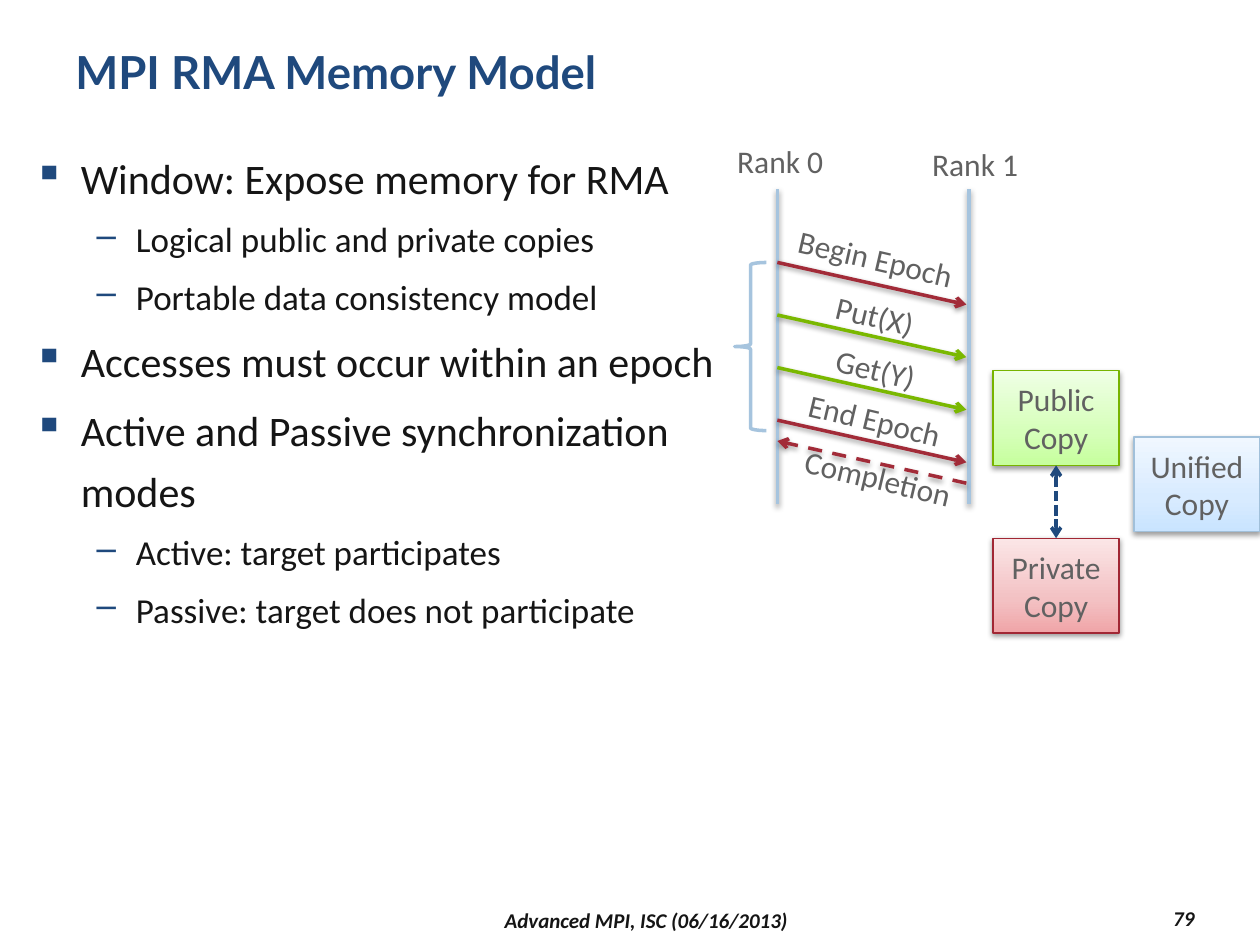
from lxml import etree
from pptx import Presentation
from pptx.dml.color import RGBColor
from pptx.enum.dml import MSO_LINE
from pptx.enum.shapes import MSO_CONNECTOR, MSO_SHAPE
from pptx.enum.text import MSO_ANCHOR, PP_ALIGN
from pptx.oxml.ns import qn
from pptx.util import Cm, Pt

STRAIGHT = MSO_CONNECTOR.STRAIGHT
RECT, BRACE = MSO_SHAPE.RECTANGLE, MSO_SHAPE.RIGHT_BRACE
DASH, SYS_DASH = MSO_LINE.DASH, MSO_LINE.SQUARE_DOT
LEFT, CENTER, RIGHT = PP_ALIGN.LEFT, PP_ALIGN.CENTER, PP_ALIGN.RIGHT
TOP, MIDDLE = MSO_ANCHOR.TOP, MSO_ANCHOR.MIDDLE

NAVY = RGBColor(0x1F, 0x49, 0x7D)
INK = RGBColor(0x15, 0x15, 0x15)
GREY = RGBColor(0x61, 0x61, 0x61)
WHITE = RGBColor(0xFF, 0xFF, 0xFF)
PALE_BLUE = RGBColor(0xA6, 0xC4, 0xDE)
RED = RGBColor(0xA2, 0x2B, 0x38)
GREEN = RGBColor(0x7A, 0xB8, 0x00)
GREEN_EDGE = RGBColor(0x77, 0xB4, 0x00)
RED_EDGE = RGBColor(0xA1, 0x27, 0x34)
BLUE_EDGE = RGBColor(0xA1, 0xC0, 0xDA)

TITLE = "MPI RMA Memory Model"
FOOTER = "Advanced MPI, ISC (06/16/2013)"
PAGE = "79"
BULLETS = [  # level, text
    (0, "Window: Expose memory for RMA"),
    (1, "Logical public and private copies"),
    (1, "Portable data consistency model"),
    (0, "Accesses must occur within an epoch"),
    (0, "Active and Passive synchronization modes"),
    (1, "Active: target participates"),
    (1, "Passive: target does not participate"),
]
LEVELS = [  # bullet, size in points, text indent and hanging in cm
    ("▪", 24, 0.95, 0.95),
    ("–", 20, 2.06, 0.79),
]
RANKS = [  # label, label left, label top, lifeline x
    ("Rank 0", 14.61, 2.74, 15.67),
    ("Rank 1", 18.54, 2.79, 19.53),
]
MESSAGES = [  # label, colour, label left, top, width, rotation
    ("Begin Epoch", RED, 15.82, 4.70, 3.71, 13.1),
    ("Put(X)", GREEN, 16.59, 5.89, 2.44, 13.4),
    ("Get(Y)", GREEN, 16.59, 6.96, 2.44, 13.4),
    ("End Epoch", RED, 16.03, 7.98, 3.48, 13.4),
]
COMPLETION = ("Completion", 15.95, 9.14, 3.68, 13.4)
COPIES = [  # text, left, top, edge, gradient from bottom to top
    ("Public\nCopy", 20.02, 7.47, GREEN_EDGE, ("C6FF9D", "D6FFBA", "EFFFE5")),
    ("Private\nCopy", 20.02, 10.85, RED_EDGE, ("F0A5A8", "F3C1C3", "FBE6E7")),
    ("Unified\nCopy", 22.86, 8.81, BLUE_EDGE, ("C9E4FF", "D8EBFF", "F0F7FF")),
]
STOPS = (0, 35, 100)
LIFE_TOP, LIFE_BOTTOM = 3.81, 10.16
SEND_X, RECEIVE_X = 15.67, 19.48
FIRST_Y, STEP, DROP = 5.29, 1.06, 0.85
COMPLETION_Y = 8.89
COPY_W, COPY_H, LABEL_H = 2.54, 1.91, 1.02


def sub(parent, tag, **attrs):
    return etree.SubElement(parent, qn(tag), attrs)


def fill_shadow(effects):
    shadow = sub(effects, "a:outerShdw", blurRad="40000", dist="20000",
                 dir="5400000", rotWithShape="0")
    sub(sub(shadow, "a:srgbClr", val="000000"), "a:alpha", val="38000")


def style(p, size, color, font="Calibri", bold=False, italic=False):
    for r in p.runs:
        f = r.font
        f.name, f.size, f.bold, f.italic = font, Pt(size), bold, italic
        f.color.rgb = color


def add_text(s, text, box, size=18, color=GREY, align=LEFT, anchor=TOP,
             wrap=True, rotation=0, **font):
    sp = s.shapes.add_textbox(*map(Cm, box))
    sp.rotation = rotation
    tf = sp.text_frame
    tf.text, tf.word_wrap, tf.vertical_anchor = text, wrap, anchor
    for p in tf.paragraphs:
        p.alignment = align
        style(p, size, color, **font)


def add_bullets(s):
    tf = s.shapes.add_textbox(Cm(0.43), Cm(2.74), Cm(15.24), Cm(14.27)).text_frame
    tf.word_wrap = True
    tf.text = "\n".join(text for _, text in BULLETS)
    for i, (p, (level, _)) in enumerate(zip(tf.paragraphs, BULLETS)):
        char, size, indent, hanging = LEVELS[level]
        p.level = level
        pPr = p._p.get_or_add_pPr()
        pPr.set("marL", str(Cm(indent)))
        pPr.set("indent", str(-Cm(hanging)))
        sub(sub(pPr, "a:buClr"), "a:srgbClr", val=str(NAVY))
        sub(pPr, "a:buChar", char=char)
        p.line_spacing = 1.2
        p.space_before = Pt(0.2 * size if i else 0)
        style(p, size, INK)


def add_line(s, start, end, color, dash=None, ends=(), shadow=True):
    line = s.shapes.add_connector(STRAIGHT, *map(Cm, start + end))
    line.line.color.rgb, line.line.width = color, Pt(2)
    if dash:
        line.line.dash_style = dash
    for tag in ends:
        sub(line.line._get_or_add_ln(), tag, type="arrow")
    effects = sub(line._element.spPr, "a:effectLst")
    if shadow:
        fill_shadow(effects)
    return line


def add_copy(s, text, left, top, edge, colors):
    sp = s.shapes.add_shape(RECT, Cm(left), Cm(top), Cm(COPY_W), Cm(COPY_H))
    sp.fill.gradient()
    sp.fill.gradient_angle = 90
    spPr = sp._element.spPr
    stops = spPr.find(qn("a:gradFill")).find(qn("a:gsLst"))
    stops.clear()
    for pos, color in zip(STOPS, colors):
        sub(sub(stops, "a:gs", pos=str(pos * 1000)), "a:srgbClr", val=color)
    sp.line.color.rgb, sp.line.width = edge, Pt(0.75)
    sp.shadow.inherit = False
    fill_shadow(spPr.find(qn("a:effectLst")))
    tf = sp.text_frame
    tf.text, tf.vertical_anchor = text, MIDDLE
    for p in tf.paragraphs:
        p.alignment = CENTER
        style(p, 18, GREY)
    return sp


def add_epoch_brace(s):
    sp = s.shapes.add_shape(BRACE, Cm(14.81), Cm(FIRST_Y), Cm(0.64), Cm(3.39))
    sp.rotation = 180
    sp.fill.solid()
    sp.fill.fore_color.rgb = WHITE
    sp.line.color.rgb, sp.line.width = PALE_BLUE, Pt(2)
    sp.shadow.inherit = False


def main():
    prs = Presentation()
    prs.slide_width, prs.slide_height = Cm(25.4), Cm(19.05)
    s = prs.slides.add_slide(prs.slide_layouts[6])

    add_text(s, TITLE, (1.27, 0.76, 22.86, 2.21), 26, NAVY, font="Lato", bold=True)
    add_bullets(s)

    for label, left, top, x in RANKS:
        add_text(s, label, (left, top, 2.26, LABEL_H), wrap=False)
        add_line(s, (x, LIFE_TOP), (x, LIFE_BOTTOM), PALE_BLUE)
    for i, (label, color, left, top, width, rotation) in enumerate(MESSAGES):
        y = FIRST_Y + i * STEP
        add_line(s, (SEND_X, y), (RECEIVE_X, y + DROP), color, ends=["a:tailEnd"])
        add_text(s, label, (left, top, width, LABEL_H), rotation=rotation)
    add_epoch_brace(s)
    add_line(s, (RECEIVE_X, COMPLETION_Y + DROP), (SEND_X, COMPLETION_Y), RED,
             DASH, ["a:tailEnd"])
    label, left, top, width, rotation = COMPLETION
    add_text(s, label, (left, top, width, LABEL_H), rotation=rotation)

    public, private, _ = [add_copy(s, *item) for item in COPIES]
    sync = add_line(s, (0, 0), (0, 0), NAVY, SYS_DASH,
                    ["a:headEnd", "a:tailEnd"], shadow=False)
    sync.begin_connect(public, 2)
    sync.end_connect(private, 0)

    small = dict(size=12, color=INK, anchor=MIDDLE, bold=True, italic=True)
    add_text(s, PAGE, (21.59, 18.16, 2.74, 0.69), align=RIGHT, **small)
    add_text(s, FOOTER, (5.51, 18.21, 15.04, 0.69), align=CENTER, **small)
    prs.save("out.pptx")


if __name__ == "__main__":
    main()
